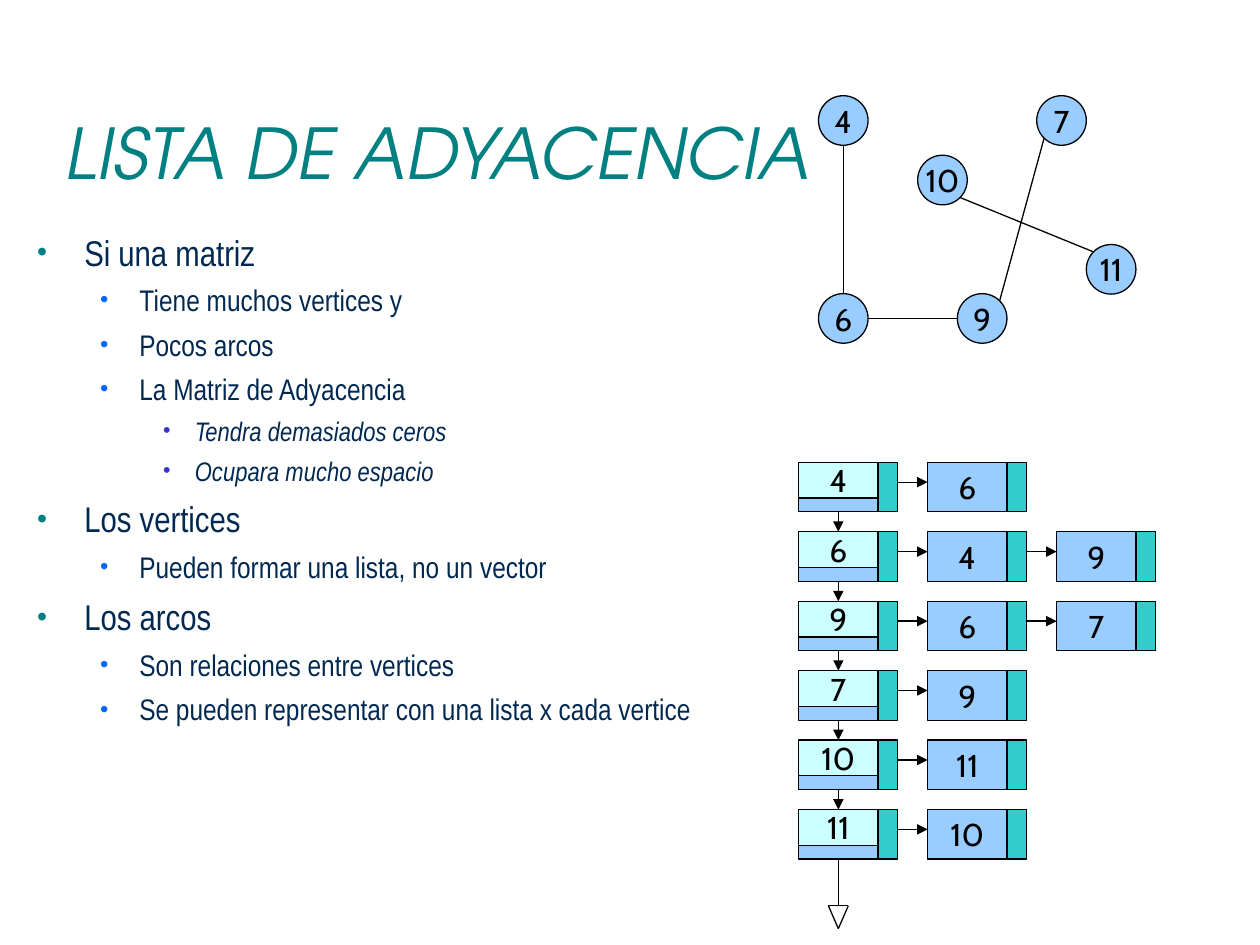
from pptx import Presentation
from pptx.dml.color import RGBColor as RGB
from pptx.enum.shapes import MSO_CONNECTOR as LINK, MSO_SHAPE as SHAPE
from pptx.enum.text import MSO_ANCHOR as ANCHOR, MSO_AUTO_SIZE as FIT, PP_ALIGN as ALIGN
from pptx.oxml.ns import qn
from pptx.util import Cm, Pt
from lxml.etree import SubElement

HUES = {
    "black": "000000", "title": "008080", "text": "002850",
    "blue": "99CCFF", "pale": "CCFFFF", "teal": "33CCCC",
}

# Per outline level: size, space before, indent, hang, bullet colour
LEVELS = [
    (20.4, 6, 0.95, 0.95, "008080"),
    (17, 5, 2.06, 0.79, "0066FF"),
    (15.3, 4.5, 3.18, 0.64, "3333CC"),
]
POINTS = [
    (0, "Si una matriz"),
    (1, "Tiene muchos vertices y"),
    (1, "Pocos arcos"),
    (1, "La Matriz de Adyacencia"),
    (2, "Tendra demasiados ceros"),
    (2, "Ocupara mucho espacio"),
    (0, "Los vertices"),
    (1, "Pueden formar una lista, no un vector"),
    (0, "Los arcos"),
    (1, "Son relaciones entre vertices"),
    (1, "Se pueden representar con una lista x cada vertice"),
]

# Centres of the graph's nodes, and its edges with the offset from
# the first centre to the rim (the second end mirrors it)
NODES = {
    "4": (17, 2.43), "7": (21.4, 2.43), "9": (19.8, 6.42),
    "6": (17, 6.42), "10": (19, 3.63), "11": (22.4, 5.43),
}
EDGES = [
    ("4", "6", 0, 0.5), ("6", "9", 0.5, 0),
    ("9", "7", 0.35, -0.35), ("10", "11", 0.35, 0.35),
]

LISTS = [
    ("4", ["6"]), ("6", ["4", "9"]), ("9", ["6", "7"]),
    ("7", ["9"]), ("10", ["11"]), ("11", ["10"]),
]
LEFT, TOP = 16.1, 9.32
STEP, PITCH = 2.6, 1.4
CELL, LINK_W, HIGH = 1.6, 0.4, 1
HEAD = 0.72


def color(name):
    return RGB.from_string(HUES[name])


def style(font, face, size, hue, italic=False):
    font.name, font.size, font.italic = face, Pt(size), italic
    font.color.rgb = color(hue)


def add_box(slide, x, y, w, h, hue, text="", kind=SHAPE.RECTANGLE):
    box = slide.shapes.add_shape(kind, Cm(x), Cm(y), Cm(w), Cm(h))
    box.shadow.inherit = False
    box.fill.solid()
    box.fill.fore_color.rgb = color(hue)
    box.line.color.rgb = color("black")
    box.line.width = Pt(0.75)
    if text:
        frame = box.text_frame
        frame.text = text
        frame.word_wrap = False
        frame.vertical_anchor = ANCHOR.MIDDLE
        para = frame.paragraphs[0]
        para.alignment = ALIGN.CENTER
        style(para.runs[0].font, "Cabin", 18, "black")


def add_line(slide, start, end, arrow=False):
    ends = [Cm(v) for v in (*start, *end)]
    line = slide.shapes.add_connector(LINK.STRAIGHT, *ends)
    line.line.color.rgb = color("black")
    line.line.width = Pt(0.75)
    props = line._element.spPr
    if arrow:
        SubElement(props.find(qn("a:ln")), qn("a:tailEnd"), type="triangle")
    SubElement(props, qn("a:effectLst"))


def add_title(slide, text):
    title = slide.shapes.title
    title.left, title.top = Cm(1.07), Cm(1.47)
    title.width, title.height = Cm(16.38), Cm(3.18)
    frame = title.text_frame
    frame.text = text
    frame.auto_size = FIT.NONE
    frame.vertical_anchor = ANCHOR.MIDDLE
    para = frame.paragraphs[0]
    para.alignment = ALIGN.LEFT
    style(para.runs[0].font, "TeX Gyre Adventor", 40, "title", True)


def set_bullet(para, indent, hang, hue):
    props = para._p.get_or_add_pPr()
    props.set("marL", str(Cm(indent)))
    props.set("indent", str(-Cm(hang)))
    tint = SubElement(props, qn("a:buClr"))
    SubElement(tint, qn("a:srgbClr"), val=hue)
    SubElement(props, qn("a:buSzPct"), val="80000")
    SubElement(props, qn("a:buFont"), typeface="Arial")
    SubElement(props, qn("a:buChar"), char="•")


def add_points(slide):
    frame = slide.shapes.add_textbox(Cm(0.5), Cm(4.52), Cm(14), Cm(11.43)).text_frame
    frame.word_wrap = True
    for i, (level, text) in enumerate(POINTS):
        para = frame.add_paragraph() if i else frame.paragraphs[0]
        size, gap, indent, hang, hue = LEVELS[level]
        para.text = text
        para.level = level
        para.space_before = Pt(gap)
        set_bullet(para, indent, hang, hue)
        style(para.runs[0].font, "Arial Narrow", size, "text", level == 2)


def add_graph(slide):
    for name, (x, y) in NODES.items():
        add_box(slide, x - 0.5, y - 0.5, 1, 1, "blue", name, SHAPE.OVAL)
    for a, b, dx, dy in EDGES:
        (ax, ay), (bx, by) = NODES[a], NODES[b]
        add_line(slide, (ax + dx, ay + dy), (bx - dx, by - dy))


def add_vertex(slide, y, name):
    add_box(slide, LEFT, y, CELL, HEAD, "pale", name)
    add_box(slide, LEFT, y + HEAD, CELL, HIGH - HEAD, "blue")
    add_box(slide, LEFT + CELL, y, LINK_W, HIGH, "teal")


def add_arc(slide, x, y, name):
    add_box(slide, x, y, CELL, HIGH, "blue", name)
    add_box(slide, x + CELL, y, LINK_W, HIGH, "teal")
    add_line(slide, (x - STEP + CELL + LINK_W, y + 0.4), (x, y + 0.4), True)


def add_end(slide, x, y):
    """Draw the stem and open triangle that close the vertex list."""
    base, tip = y + 0.94, y + 1.4
    left, right, low = (x - 0.2, base), (x + 0.2, base), (x, tip)
    add_line(slide, (x, y), (x, base))
    for a, b in ((left, right), (left, low), (low, right)):
        add_line(slide, a, b)


def add_lists(slide):
    mid = LEFT + CELL / 2
    for row, (name, arcs) in enumerate(LISTS):
        y = TOP + row * PITCH
        add_vertex(slide, y, name)
        for col, arc in enumerate(arcs, 1):
            add_arc(slide, LEFT + col * STEP, y, arc)
        if row < len(LISTS) - 1:
            add_line(slide, (mid, y + HIGH), (mid, y + PITCH), True)
    add_end(slide, mid, y + HIGH)


def main():
    deck = Presentation()
    deck.slide_width, deck.slide_height = Cm(25.4), Cm(19.05)
    slide = deck.slides.add_slide(deck.slide_layouts[5])
    add_title(slide, "LISTA DE ADYACENCIA")
    add_points(slide)
    add_graph(slide)
    add_lists(slide)
    deck.save("out.pptx")


if __name__ == "__main__":
    main()
